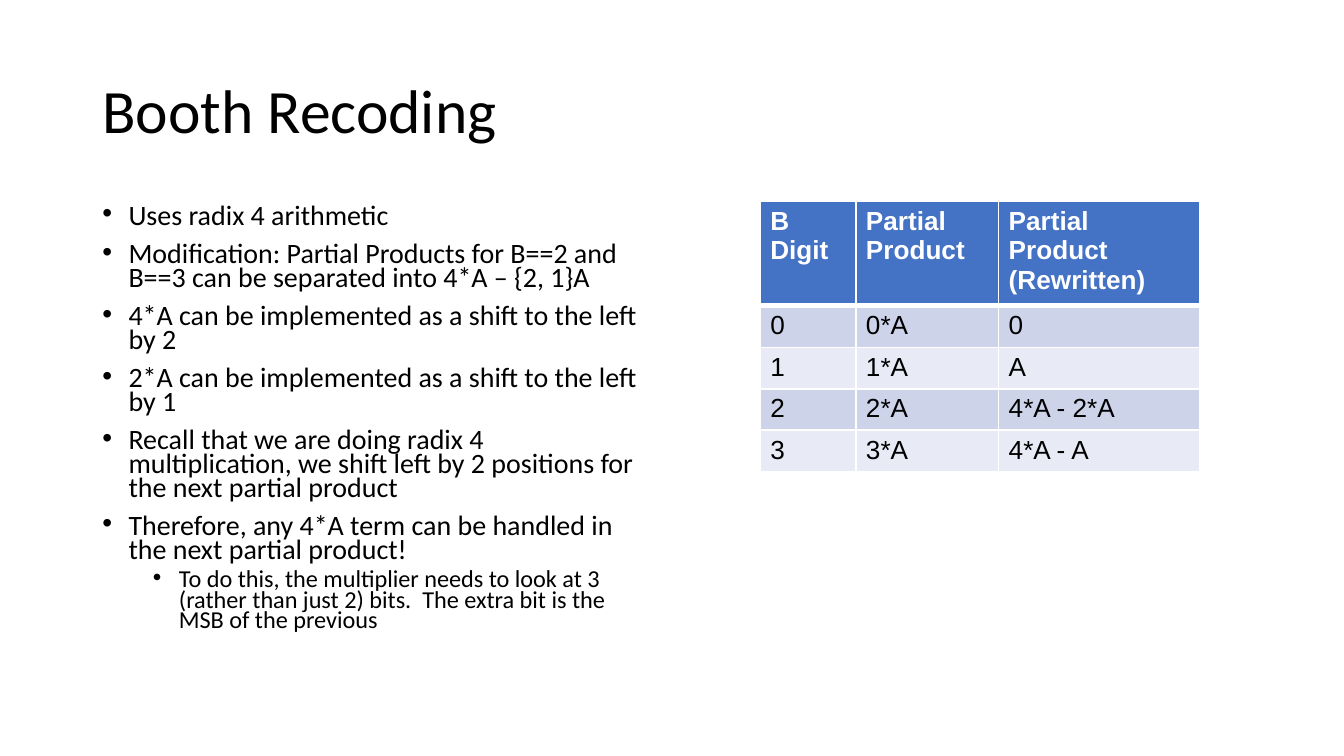
"""Build the Booth Recoding slide: title, bullet list and partial-product table."""
from dataclasses import dataclass

from lxml import etree
from pptx import Presentation
from pptx import util as u
from pptx.dml.color import RGBColor
from pptx.enum import text
from pptx.oxml import ns

PX = u.Inches(1) // 160


@dataclass(frozen=True)
class Theme:
    ink: str = "000000"
    white: str = "FFFFFF"
    header: str = "4472C4"
    bands: tuple[str, str] = ("CDD4EA", "E8EBF5")
    font: str = "Calibri"
    table_font: str = "Arial"
    title_size: int = 33
    level_sizes: tuple[int, int] = (15, 13)
    table_size: int = 14


@dataclass(frozen=True)
class Box:
    x: int
    y: int
    w: int
    h: int

    def emu(self) -> tuple[int, ...]:
        return tuple(v * PX for v in (self.x, self.y, self.w, self.h))


@dataclass(frozen=True)
class Bullet:
    words: str
    level: int = 0
    before: int = 8


THEME = Theme()
BULLETS = (
    Bullet("Uses radix 4 arithmetic", before=0),
    Bullet("Modification: Partial Products for B==2 and B==3 can be separated into 4*A – {2, 1}A"),
    Bullet("4*A can be implemented as a shift to the left by 2"),
    Bullet("2*A can be implemented as a shift to the left by 1"),
    Bullet("Recall that we are doing radix 4 multiplication, "
           "we shift left by 2 positions for the next partial product"),
    Bullet("Therefore, any 4*A term can be handled in the next partial product!"),
    Bullet("To do this, the multiplier needs to look at 3 (rather than just 2) bits.  "
           "The extra bit is the MSB of the previous", level=1, before=4),
)
ROWS = (
    ("B Digit", "Partial Product", "Partial Product (Rewritten)"),
    ("0", "0*A", "0"),
    ("1", "1*A", "A"),
    ("2", "2*A", "4*A - 2*A"),
    ("3", "3*A", "4*A - A"),
)
COLUMN_WIDTHS = (114, 170, 240)
ROW_HEIGHT = 48
MARGIN_X, MARGIN_Y = 12, 6
INDENT, LEVEL_STEP = 31, 60


def format_runs(p, font: str, size: int, color: str, bold: bool = False) -> None:
    for r in p.runs:
        r.font.name = font
        r.font.size = u.Pt(size)
        r.font.bold = bold
        r.font.color.rgb = RGBColor.from_string(color)


def set_margins(holder, right: int = MARGIN_X) -> None:
    holder.margin_left, holder.margin_right = MARGIN_X * PX, right * PX
    holder.margin_top = holder.margin_bottom = MARGIN_Y * PX


def add_title(s, box: Box, words: str) -> None:
    tf = s.shapes.add_textbox(*box.emu()).text_frame
    tf.word_wrap = True
    set_margins(tf)
    tf.vertical_anchor = text.MSO_ANCHOR.MIDDLE
    tf.text = words
    p = tf.paragraphs[0]
    p.line_spacing = 0.9
    format_runs(p, THEME.font, THEME.title_size, THEME.ink)


def set_bullet(p, level: int) -> None:
    pPr = p._p.get_or_add_pPr()
    pPr.set("marL", str((INDENT + LEVEL_STEP * level) * PX))
    pPr.set("indent", str(-INDENT * PX))
    color = etree.SubElement(pPr, ns.qn("a:buClr"))
    etree.SubElement(color, ns.qn("a:srgbClr"), val=THEME.ink)
    etree.SubElement(pPr, ns.qn("a:buFont"), typeface="Arial")
    etree.SubElement(pPr, ns.qn("a:buChar"), char="•")


def add_bullets(s, box: Box, bullets: tuple[Bullet, ...]) -> None:
    tf = s.shapes.add_textbox(*box.emu()).text_frame
    tf.word_wrap = True
    set_margins(tf, right=18)
    tf.text = "\n".join(b.words for b in bullets)
    for p, b in zip(tf.paragraphs, bullets):
        p.level = b.level
        p.line_spacing = 0.7
        p.space_before = u.Pt(b.before)
        set_bullet(p, b.level)
        format_runs(p, THEME.font, THEME.level_sizes[b.level], THEME.ink)


def set_borders(cell, top: int, bottom: int) -> None:
    tcPr = cell._tc.get_or_add_tcPr()
    for side, width in (("L", 1), ("R", 1), ("T", top), ("B", bottom)):
        ln = etree.SubElement(tcPr, ns.qn(f"a:ln{side}"), w=str(u.Pt(width)))
        fill = etree.SubElement(ln, ns.qn("a:solidFill"))
        etree.SubElement(fill, ns.qn("a:srgbClr"), val=THEME.white)


def add_product_table(s, box: Box) -> None:
    table = s.shapes.add_table(len(ROWS), len(COLUMN_WIDTHS), *box.emu()).table
    for column, width in zip(table.columns, COLUMN_WIDTHS):
        column.width = width * PX
    for i, row in enumerate(table.rows):
        row.height = ROW_HEIGHT * PX
        is_header = i == 0
        fill = THEME.header if is_header else THEME.bands[(i - 1) % 2]
        color = THEME.white if is_header else THEME.ink
        for cell, words in zip(row.cells, ROWS[i]):
            set_borders(cell, top=3 if i == 1 else 1, bottom=3 if is_header else 1)
            cell.fill.solid()
            cell.fill.fore_color.rgb = RGBColor.from_string(fill)
            set_margins(cell)
            cell.text_frame.text = words
            format_runs(cell.text_frame.paragraphs[0], THEME.table_font,
                        THEME.table_size, color, is_header)


def main() -> None:
    prs = Presentation()
    prs.slide_width, prs.slide_height = 1600 * PX, 900 * PX
    s = prs.slides.add_slide(prs.slide_layouts[6])
    add_title(s, Box(110, 48, 1380, 174), "Booth Recoding")
    add_bullets(s, Box(110, 240, 680, 571), BULLETS)
    add_product_table(s, Box(905, 240, sum(COLUMN_WIDTHS), 525))
    prs.save("out.pptx")


if __name__ == "__main__":
    main()
